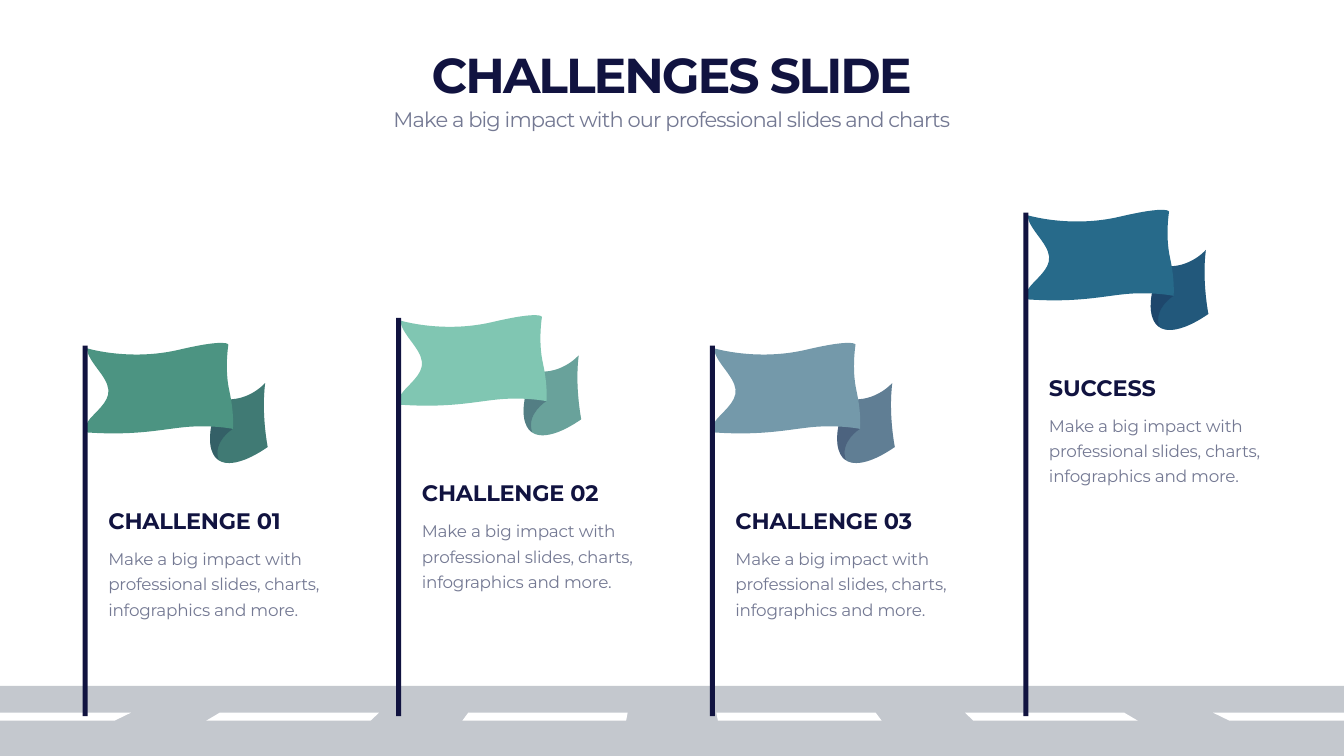
"""Build the challenges slide: four flags on poles standing along a road."""
import lxml.etree
import pptx
import pptx.dml.color
import pptx.enum.shapes
import pptx.enum.text
import pptx.oxml.ns
import pptx.util

Inches = pptx.util.Inches
Pt = pptx.util.Pt
qn = pptx.oxml.ns.qn

WIDTH, HEIGHT = 26.66, 15
NAVY, GREY, ROAD, WHITE = "111340", "747993", "C4C8CE", "FFFFFF"
ROAD_TOP, DASH_TOP, DASH_BOTTOM, POLE_BOTTOM = 13.61, 14.14, 14.3, 14.21
FIRST_POLE, POLE_STEP, POLE_WIDTH = 1.64, 6.22, 0.1

BODY = "Make a big impact with professional slides, charts, infographics and more."
CHALLENGES = [
    ("CHALLENGE 01", "4C9482", 6.86),
    ("CHALLENGE 02", "80C6B2", 6.31),
    ("CHALLENGE 03", "7499AA", 6.86),
    ("SUCCESS", "276A8A", 4.22),
]

LEFT_DASHES = [(0, 2.6, 2.27, 0), (4.36, 7.52, 7.35, 4.09), (9.29, 12.45, 12.42, 9.17)]

TAIL_CURVES = [
    (2.7, 2.27),
    (2.7, 2.27), (2.94, 2.51), (3.67, 2.01),
    (3.67, 2.01), (3.54, 1.36), (3.62, 0.74),
    (3.62, 0.74), (3.23, 1.19), (2.65, 1.03),
    (2.65, 1.03), (2.5, 2.11), (2.7, 2.27),
]
FOLD_CURVES = [
    (2.98, 1.65),
    (2.98, 1.65), (2.57, 1.9), (2.7, 2.27),
    (2.7, 2.27), (2.45, 2.16), (2.55, 1.6),
    (2.55, 1.6), (2.78, 1.52), (2.98, 1.65),
]
BANNER_CURVES = [
    (0.08, 0.05),
    (0.08, 0.05), (0.93, 0.31), (1.91, 0.08),
    (2.89, -0.15), (2.89, -0.02), (2.89, -0.02),
    (2.89, -0.02), (2.81, 0.46), (2.91, 0.9),
    (3.01, 1.36), (2.98, 1.65), (2.98, 1.65),
    (2.98, 1.65), (2.59, 1.57), (2.08, 1.61),
    (1.6, 1.65), (1.08, 1.79), (0.08, 1.72),
    (0.08, 1.72), (0.06, 1.58), (0.1, 1.51),
    (0.21, 1.34), (0.54, 1.13), (0.51, 0.87),
    (0.48, 0.59), (0.11, 0.33), (0.08, 0.05),
]


def color(value):
    return pptx.dml.color.RGBColor.from_string(value)


def bend(shape):
    lines = list(shape._element.iter(qn("a:lnTo")))
    for start in range(0, len(lines), 3):
        curve = lxml.etree.Element(qn("a:cubicBezTo"))
        lines[start].addprevious(curve)
        for line in lines[start:start + 3]:
            curve.append(line[0])
            line.getparent().remove(line)


class Painter:
    def __init__(self, page, font="Montserrat"):
        self.page = page
        self.font = font

    def paint(self, shape, fill, opacity=None):
        shape.shadow.inherit = False
        shape.fill.solid()
        shape.fill.fore_color.rgb = color(fill)
        shape.line.fill.background()
        if opacity is not None:
            tone = shape._element.spPr.find(qn("a:solidFill")).find(qn("a:srgbClr"))
            alpha = lxml.etree.SubElement(tone, qn("a:alpha"))
            alpha.set("val", str(opacity * 1000))

    def rectangle(self, left, top, width, height, fill):
        shape = self.page.shapes.add_shape(
            pptx.enum.shapes.MSO_SHAPE.RECTANGLE,
            Inches(left), Inches(top), Inches(width), Inches(height))
        self.paint(shape, fill)

    def outline(self, points, fill, opacity=None, left=0, top=0, curved=False):
        corners = [(Inches(left + x), Inches(top + y)) for x, y in points]
        builder = self.page.shapes.build_freeform(*corners[0])
        builder.add_line_segments(corners[1:], close=True)
        shape = builder.convert_to_shape()
        if curved:
            bend(shape)
        self.paint(shape, fill, opacity)

    def text(self, left, top, width, height, words, size, fill, bold=False,
             centered=False, bottom=False, tracking=-0.3, leading=None):
        box = self.page.shapes.add_textbox(
            Inches(left), Inches(top), Inches(width), Inches(height))
        frame = box.text_frame
        frame.word_wrap = True
        frame.auto_size = pptx.enum.text.MSO_AUTO_SIZE.SHAPE_TO_FIT_TEXT
        anchors = pptx.enum.text.MSO_ANCHOR
        frame.vertical_anchor = anchors.BOTTOM if bottom else anchors.TOP
        para = frame.paragraphs[0]
        aligns = pptx.enum.text.PP_ALIGN
        para.alignment = aligns.CENTER if centered else aligns.LEFT
        if leading:
            para.line_spacing = Pt(leading)
        span = para.add_run()
        span.text = words
        span.font.name = self.font
        span.font.size = Pt(size)
        span.font.bold = bold
        span.font.color.rgb = color(fill)
        span.font._element.set("spc", str(round(tracking * 100)))

    def road(self):
        self.rectangle(0, ROAD_TOP, WIDTH, HEIGHT - ROAD_TOP, ROAD)
        heights = (DASH_TOP, DASH_TOP, DASH_BOTTOM, DASH_BOTTOM)
        for dash in LEFT_DASHES:
            self.outline(list(zip(dash, heights)), WHITE)
            self.outline([(WIDTH - x, y) for x, y in zip(dash, heights)], WHITE)

    def flag(self, left, top, fill):
        for curves, shade in ((TAIL_CURVES, 20), (FOLD_CURVES, 40)):
            self.outline(curves, fill, None, left, top, curved=True)
            self.outline(curves, NAVY, shade, left, top, curved=True)
        self.outline(BANNER_CURVES, fill, None, left, top, curved=True)
        self.rectangle(left, top, POLE_WIDTH, POLE_BOTTOM - top, NAVY)


def main():
    deck = pptx.Presentation()
    deck.slide_width, deck.slide_height = Inches(WIDTH), Inches(HEIGHT)
    painter = Painter(deck.slides.add_slide(deck.slide_layouts[6]))
    painter.road()
    painter.text(1.66, 0.82, 23.33, 1.28, "CHALLENGES SLIDE", 70, NAVY,
                 bold=True, centered=True, bottom=True, tracking=-2.9)
    painter.text(1.66, 2.06, 23.33, 0.61,
                 "Make a big impact with our professional slides and charts",
                 30, GREY, centered=True, tracking=-1.2)
    for index, (heading, fill, top) in enumerate(CHALLENGES):
        left = FIRST_POLE + index * POLE_STEP
        painter.flag(left, top, fill)
        painter.text(left + 0.41, top + 3.14, 4.97, 0.64, heading, 32, NAVY,
                     bold=True, bottom=True)
        painter.text(left + 0.41, top + 3.88, 4.97, 1.57, BODY, 24, GREY, leading=36)
    deck.save("out.pptx")


if __name__ == "__main__":
    main()
